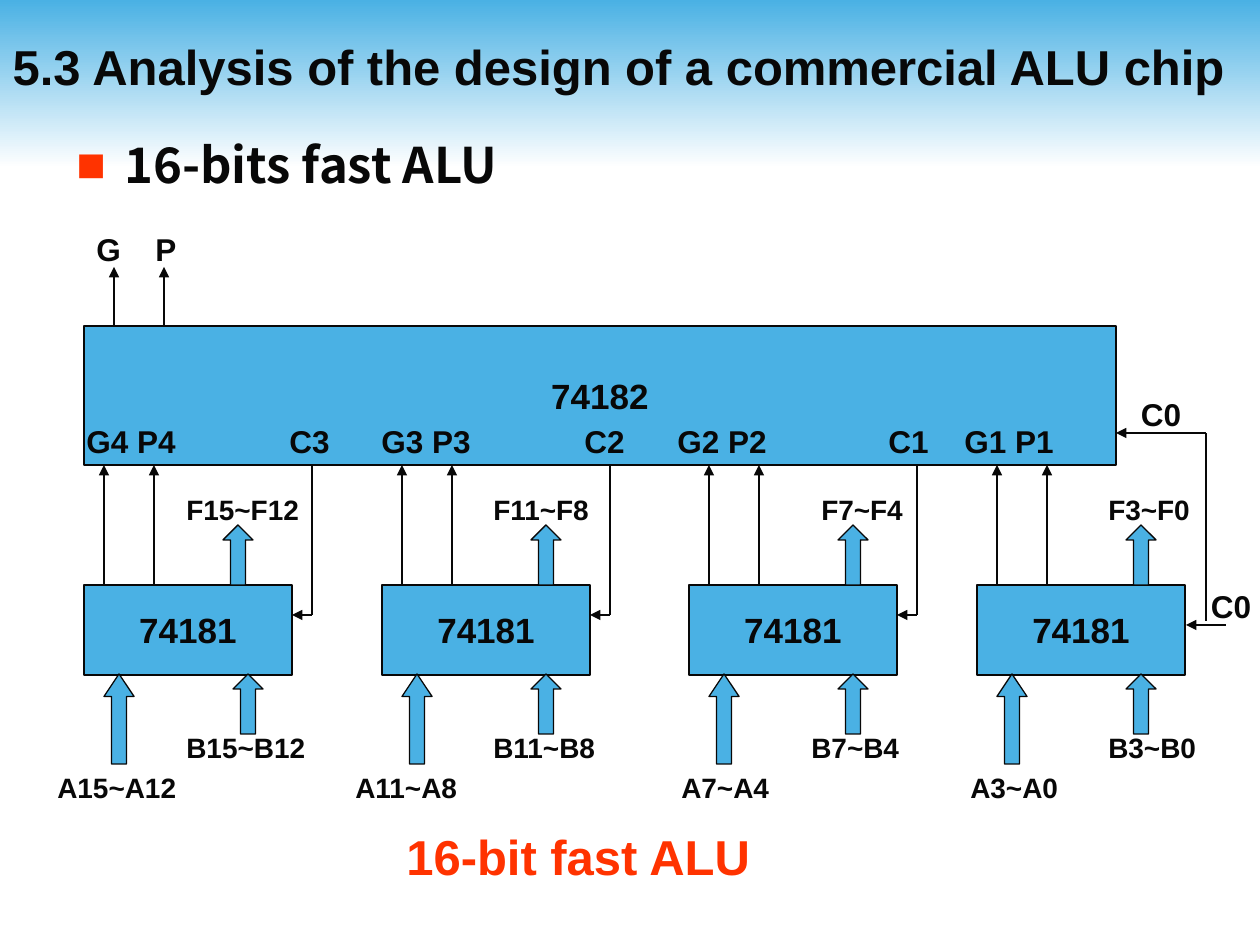
"""Build a slide with the block diagram of a 16-bit fast ALU."""
from lxml import etree
from pptx import Presentation
from pptx import util as u
from pptx.dml.color import RGBColor
from pptx.enum import shapes, text
from pptx.oxml import ns

EMU_PER_PX = 914400 / 126
BLUE = RGBColor(0x4A, 0xB1, 0xE4)
INK = RGBColor(0x08, 0x08, 0x08)
RED = RGBColor(0xFF, 0x33, 0x00)
WHITE = RGBColor(0xFF, 0xFF, 0xFF)

CHIP_TOP, CHIP_WIDTH, CHIP_HEIGHT = 585, 208, 90
CHIP_BOTTOM = CHIP_TOP + CHIP_HEIGHT
LOOKAHEAD = (84, 326, 1032, 139)
LOOKAHEAD_BOTTOM = 465

# left, F arrow offset, then (text, left) for the A, B and F labels
CHIPS = [
    (84, 139, ("A15~A12", 45), ("B15~B12", 174), ("F15~F12", 174)),
    (382, 149, ("A11~A8", 343), ("B11~B8", 481), ("F11~F8", 481)),
    (689, 149, ("A7~A4", 669), ("B7~B4", 799), ("F7~F4", 809)),
    (977, 149, ("A3~A0", 958), ("B3~B0", 1096), ("F3~F0", 1096)),
]
PINS = [("G4 P4", 74), ("C3", 277), ("G3 P3", 369), ("C2", 572),
        ("G2 P2", 665), ("C1", 876), ("G1 P1", 952)]


def px(*lengths):
    return [u.Emu(round(length * EMU_PER_PX)) for length in lengths]


def add_child(parent, tag, **attributes):
    return etree.SubElement(parent, ns.qn(tag), **attributes)


def write(frame, content, size=16, color=INK, font="Arial",
          align=text.PP_ALIGN.LEFT, anchor=text.MSO_ANCHOR.TOP):
    frame.word_wrap = True
    frame.vertical_anchor = anchor
    paragraph = frame.paragraphs[0]
    paragraph.alignment = align
    run = paragraph.add_run()
    run.text = content
    run.font.name, run.font.size, run.font.bold = font, u.Pt(size), True
    run.font.color.rgb = color
    return paragraph


class Diagram:
    def __init__(self, slide, fill=BLUE, line=INK, line_width=0.75):
        self.slide = slide
        self.fill = fill
        self.line = line
        self.line_width = u.Pt(line_width)

    def band(self, *box):
        shape = self.slide.shapes.add_shape(shapes.MSO_SHAPE.RECTANGLE, *px(*box))
        shape.shadow.inherit = False
        shape.line.fill.background()
        shape.fill.gradient()
        shape.fill.gradient_angle = 270
        for stop, color in zip(shape.fill.gradient_stops, (self.fill, WHITE)):
            stop.color.rgb = color
        self.slide.shapes._spTree.insert(2, shape._element)

    def title(self, content, *box):
        title = self.slide.shapes.title
        title.left, title.top, title.width, title.height = px(*box)
        write(title.text_frame, content, size=28, anchor=text.MSO_ANCHOR.MIDDLE)

    def label(self, content, *box, margin=True, **style):
        frame = self.slide.shapes.add_textbox(*px(*box)).text_frame
        if not margin:
            frame.margin_left = frame.margin_right = 0
            frame.margin_top = frame.margin_bottom = 0
        return write(frame, content, **style)

    def bullet(self, content, *box):
        frame = self.slide.shapes.add_textbox(*px(*box)).text_frame
        frame.margin_top = 0
        properties = frame.paragraphs[0]._p.get_or_add_pPr()
        indent = px(48)[0]
        properties.set("marL", str(indent))
        properties.set("indent", str(-indent))
        add_child(add_child(properties, "a:buClr"), "a:srgbClr", val=str(RED))
        add_child(properties, "a:buFont", typeface="Arial")
        add_child(properties, "a:buChar", char="■")
        write(frame, content, size=28, font="Noto Sans CJK JP")

    def solid(self, preset, *box):
        shape = self.slide.shapes.add_shape(preset, *px(*box))
        shape.shadow.inherit = False
        shape.fill.solid()
        shape.fill.fore_color.rgb = self.fill
        shape.line.color.rgb = self.line
        shape.line.width = self.line_width
        return shape

    def chip(self, content, *box):
        shape = self.solid(shapes.MSO_SHAPE.RECTANGLE, *box)
        write(shape.text_frame, content, size=20,
              align=text.PP_ALIGN.CENTER, anchor=text.MSO_ANCHOR.MIDDLE)

    def bus(self, left, top, height):
        shape = self.solid(shapes.MSO_SHAPE.UP_ARROW, left, top, 30, height)
        shape.adjustments[0] = 0.5
        shape.adjustments[1] = 0.25 * height / 30

    def wire(self, *ends, arrow=True):
        connector = self.slide.shapes.add_connector(
            shapes.MSO_CONNECTOR.STRAIGHT, *px(*ends))
        connector.line.color.rgb = self.line
        connector.line.width = self.line_width
        if arrow:
            add_child(connector.line._get_or_add_ln(), "a:tailEnd", type="triangle")
        add_child(connector._element.spPr, "a:effectLst")


def draw_chip(diagram, left, f_offset, a_label, b_label, f_label):
    diagram.chip("74181", left, CHIP_TOP, CHIP_WIDTH, CHIP_HEIGHT)
    diagram.bus(left + 20, CHIP_BOTTOM - 1, 90)
    diagram.bus(left + 149, CHIP_BOTTOM - 1, 60)
    diagram.bus(left + f_offset, CHIP_TOP - 60, 60)
    for (content, label_left), top in zip((a_label, b_label, f_label), (764, 724, 486)):
        diagram.label(content, label_left, top, 150, 46)
    for offset in (20, 70):
        diagram.wire(left + offset, CHIP_TOP, left + offset, LOOKAHEAD_BOTTOM)


def main():
    presentation = Presentation()
    presentation.slide_width, presentation.slide_height = px(1260, 945)
    slide = presentation.slides.add_slide(presentation.slide_layouts[5])
    diagram = Diagram(slide)

    diagram.band(0, 0, 1260, 168)
    diagram.title("5.3 Analysis of the design of a commercial ALU chip", 0, 6, 1260, 120)
    diagram.bullet("16-bits fast ALU", 64, 135, 1111, 753)
    diagram.label("16-bit fast ALU", 394, 820, 465, 72, size=28, color=RED)

    diagram.chip("74182", *LOOKAHEAD)
    for content, left in PINS:
        diagram.label(content, left, 416, 126, 50, size=18)
    for content, left, wire_x in (("G", 84, 114), ("P", 143, 164)):
        diagram.label(content, left, 224, 60, 50, size=18)
        diagram.wire(wire_x, 326, wire_x, 267)

    for chip in CHIPS:
        draw_chip(diagram, *chip)
    for left, *_ in CHIPS[:-1]:
        right = left + CHIP_WIDTH
        diagram.wire(right + 20, 615, right + 20, LOOKAHEAD_BOTTOM, arrow=False)
        diagram.wire(right + 20, 615, right, 615)

    diagram.wire(1226, 625, 1186, 625)
    diagram.wire(1206, 433, 1116, 433)
    diagram.wire(1206, 621, 1206, 433, arrow=False)
    for left, top in ((1211, 587), (1141, 395)):
        diagram.label("C0", left, top, 44, 38, margin=False, size=18)

    presentation.save("out.pptx")


if __name__ == "__main__":
    main()
